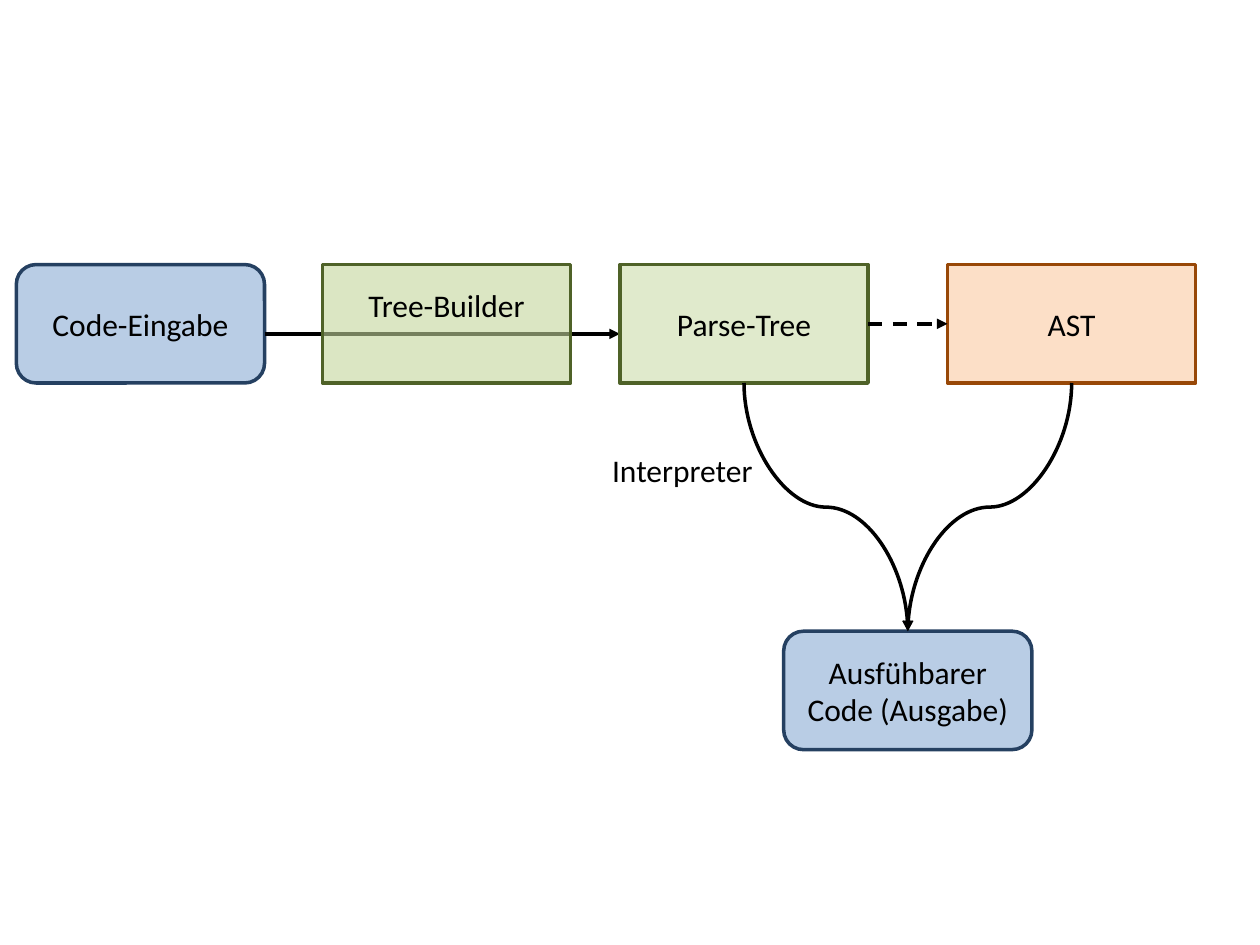
from pptx import Presentation
from pptx.dml.color import RGBColor
from pptx.enum.dml import MSO_LINE as Dash
from pptx.enum.shapes import MSO_CONNECTOR as Link, MSO_SHAPE as Form
from pptx.enum.text import MSO_ANCHOR as Anchor, PP_ALIGN as Align
from pptx.oxml.ns import qn
from pptx.util import Inches, Pt
from lxml.etree import SubElement as Sub

WIDE, HIGH = 1.97, 0.94      # node size
ROW, LOW = 2.1, 5.01         # tops of the two rows
BLUE = ("B9CDE5", "254061")
GREEN = ("C3D69B", "4F6228")
AMBER = ("FAC090", "984807")

deck = Presentation()
deck.slide_width, deck.slide_height = Inches(10), Inches(7.5)
slide = deck.slides.add_slide(deck.slide_layouts[6])
shapes = slide.shapes


def tint(hue):
    return RGBColor.from_string(hue)


def write(frame, text, align):
    para = frame.paragraphs[0]
    para.text, para.alignment = text, align
    font = para.font
    font.name, font.size = "Calibri", Pt(18)
    font.color.rgb = tint("000000")


def node(form, left, top, text, hues, alpha=100, lift=0):
    """Draw a labelled box; lift raises its text by a length."""
    box = shapes.add_shape(form, *map(Inches, (left, top, WIDE, HIGH)))
    box.shadow.inherit = False
    box.fill.solid()
    box.fill.fore_color.rgb = tint(hues[0])
    if alpha < 100:
        color = box.fill._xPr.find(qn("a:solidFill"))[0]
        Sub(color, qn("a:alpha"), val=str(alpha * 1000))
    box.line.color.rgb, box.line.width = tint(hues[1]), Pt(2)
    frame = box.text_frame
    frame.word_wrap, frame.vertical_anchor = True, Anchor.MIDDLE
    frame.margin_bottom = Inches(0.05 + 2 * lift)
    write(frame, text, Align.CENTER)


def arrow(kind, x1, y1, x2, y2, dash=None):
    link = shapes.add_connector(kind, *map(Inches, (x1, y1, x2, y2)))
    link.line.color.rgb, link.line.width = tint("000000"), Pt(2)
    if dash:
        link.line.dash_style = dash
    Sub(link.line._get_or_add_ln(), qn("a:tailEnd"), type="triangle")
    Sub(link._element.spPr, qn("a:effectLst"))
    return link


def bend(x1, y1, x2, y2):
    """Draw a curve that leaves and arrives vertically."""
    run, drop = abs(x2 - x1), y2 - y1
    left, top = (x1 + x2 - drop) / 2, (y1 + y2 - run) / 2
    link = arrow(Link.CURVE, left, top, left + drop, top + run)
    xfrm = link._element.spPr.find(qn("a:xfrm"))
    xfrm.set("rot", str((270 if x2 > x1 else 90) * 60000))
    if x2 > x1:
        xfrm.set("flipH", "1")


def flow(code, build, tree, ast):
    """Draw the upper row, given the left edge of each node."""
    node(Form.ROUNDED_RECTANGLE, code, ROW, "Code-Eingabe", BLUE)
    arrow(Link.STRAIGHT, code + WIDE, 2.65, tree, 2.65)
    node(Form.RECTANGLE, build, ROW, "Tree-Builder", GREEN, 60, 0.15)
    node(Form.RECTANGLE, tree, ROW, "Parse-Tree", GREEN, 50)
    node(Form.RECTANGLE, ast, ROW, "AST", AMBER, 50)
    mid = ROW + HIGH / 2
    arrow(Link.STRAIGHT, tree + WIDE, mid, ast, mid, Dash.DASH)


def output(tree, ast):
    """Draw the result, centred below the two trees."""
    left = (tree + ast) / 2
    node(Form.ROUNDED_RECTANGLE, left, LOW, "Ausführbarer Code (Ausgabe)".replace("führ", "füh"), BLUE)
    for start in (tree, ast):
        bend(start + WIDE / 2, ROW + HIGH, left + WIDE / 2, LOW)
    note = shapes.add_textbox(*map(Inches, (4.76, 3.53, 1.33, 0.4)))
    note.text_frame.word_wrap = False
    write(note.text_frame, "Interpreter", Align.LEFT)


flow(0.13, 2.56, 4.92, 7.52)
output(4.92, 7.52)
deck.save("out.pptx")
